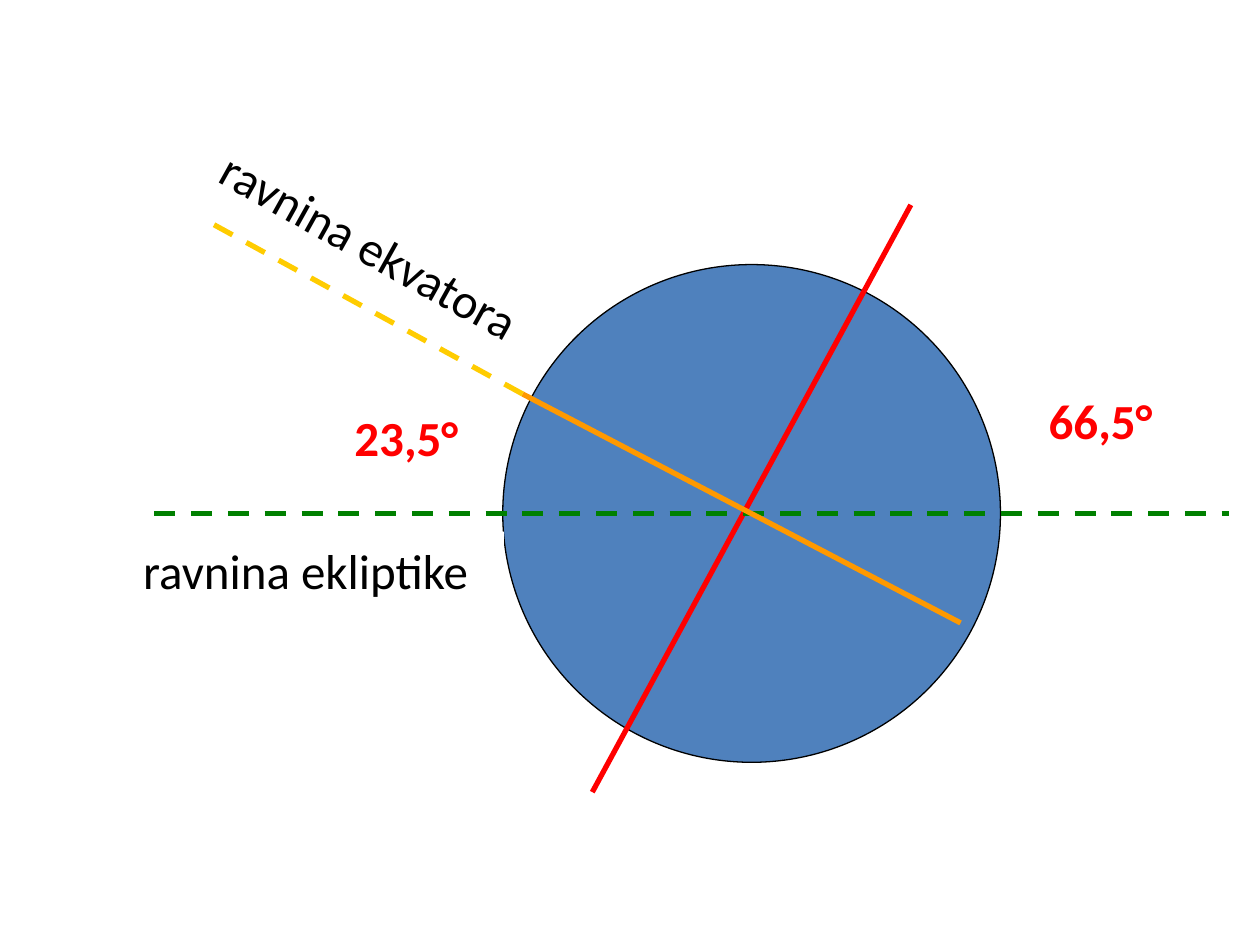
from lxml import etree
from pptx import Presentation
from pptx import util as u
from pptx.dml.color import RGBColor
from pptx.enum import dml, shapes, text
from pptx.oxml.ns import qn

BLACK = RGBColor(0x00, 0x00, 0x00)
WHITE = RGBColor(0xFF, 0xFF, 0xFF)
BLUE = RGBColor(0x4F, 0x81, 0xBD)
RED = RGBColor(0xFF, 0x00, 0x00)
GREEN = RGBColor(0x00, 0x80, 0x00)
ORANGE = RGBColor(0xFF, 0x99, 0x00)
YELLOW = RGBColor(0xFF, 0xCC, 0x00)

COLUMNS, ROWS = 100, 75


def add_line(slide, box, start, end, color, dashed=False):
    left, top, width, height = box
    ends = [round(origin + share * size)
            for point in (start, end)
            for origin, share, size in zip((left, top), point, (width, height))]
    line = slide.shapes.add_connector(shapes.MSO_CONNECTOR.STRAIGHT, *ends)
    line.line.color.rgb = color
    line.line.width = u.Pt(3)
    if dashed:
        line.line.dash_style = dml.MSO_LINE.DASH
    etree.SubElement(line._element.spPr, qn("a:effectLst"))


def add_label(slide, wording, box, color=BLACK, bold=False, fill=None, rotation=0):
    label = slide.shapes.add_textbox(*box)
    label.rotation = rotation
    if fill is not None:
        label.fill.solid()
        label.fill.fore_color.rgb = fill
    frame = label.text_frame
    frame.word_wrap = False
    frame.vertical_anchor = text.MSO_ANCHOR.MIDDLE
    paragraph = frame.paragraphs[0]
    paragraph.text = wording
    paragraph.alignment = text.PP_ALIGN.CENTER
    paragraph.font.name = "Calibri"
    paragraph.font.size = u.Pt(28)
    paragraph.font.bold = bold
    paragraph.font.color.rgb = color


def draw_globe(slide, box):
    globe = slide.shapes.add_shape(shapes.MSO_SHAPE.OVAL, *box)
    globe.shadow.inherit = False
    globe.fill.solid()
    globe.fill.fore_color.rgb = BLUE
    globe.line.color.rgb = BLACK
    globe.line.width = u.Pt(0.75)

    equator_edge = (0.04, 0.26)
    add_line(slide, box, (0.82, -0.12), (0.18, 1.06), RED)
    add_line(slide, box, (-0.7, 0.5), (1.46, 0.5), GREEN, dashed=True)
    add_line(slide, box, equator_edge, (0.92, 0.72), ORANGE)
    add_line(slide, box, (-0.58, -0.08), equator_edge, YELLOW, dashed=True)


def label_planes(slide, grid):
    add_label(slide, "ravnina ekliptike", grid(8.5, 42.2, 31.5, 6.1), fill=WHITE)
    add_label(slide, "ravnina ekvatora", grid(13.6, 16.4, 31.5, 6.1),
              fill=WHITE, rotation=29.2)


def label_angles(slide, grid):
    for angle, column, row in (("66,5°", 79.3, 28.3), ("23,5°", 24.2, 29.7)):
        add_label(slide, angle, grid(column, row, 16.1, 10), color=RED, bold=True)


def main():
    deck = Presentation()
    deck.slide_width, deck.slide_height = u.Inches(10), u.Inches(7.5)
    column, row = deck.slide_width / COLUMNS, deck.slide_height / ROWS

    def grid(left, top, width, height):
        return (round(left * column), round(top * row),
                round(width * column), round(height * row))

    slide = deck.slides.add_slide(deck.slide_layouts[6])
    draw_globe(slide, grid(39.9, 21, 39.5, 39.5))
    label_planes(slide, grid)
    label_angles(slide, grid)
    deck.save("out.pptx")


if __name__ == "__main__":
    main()
